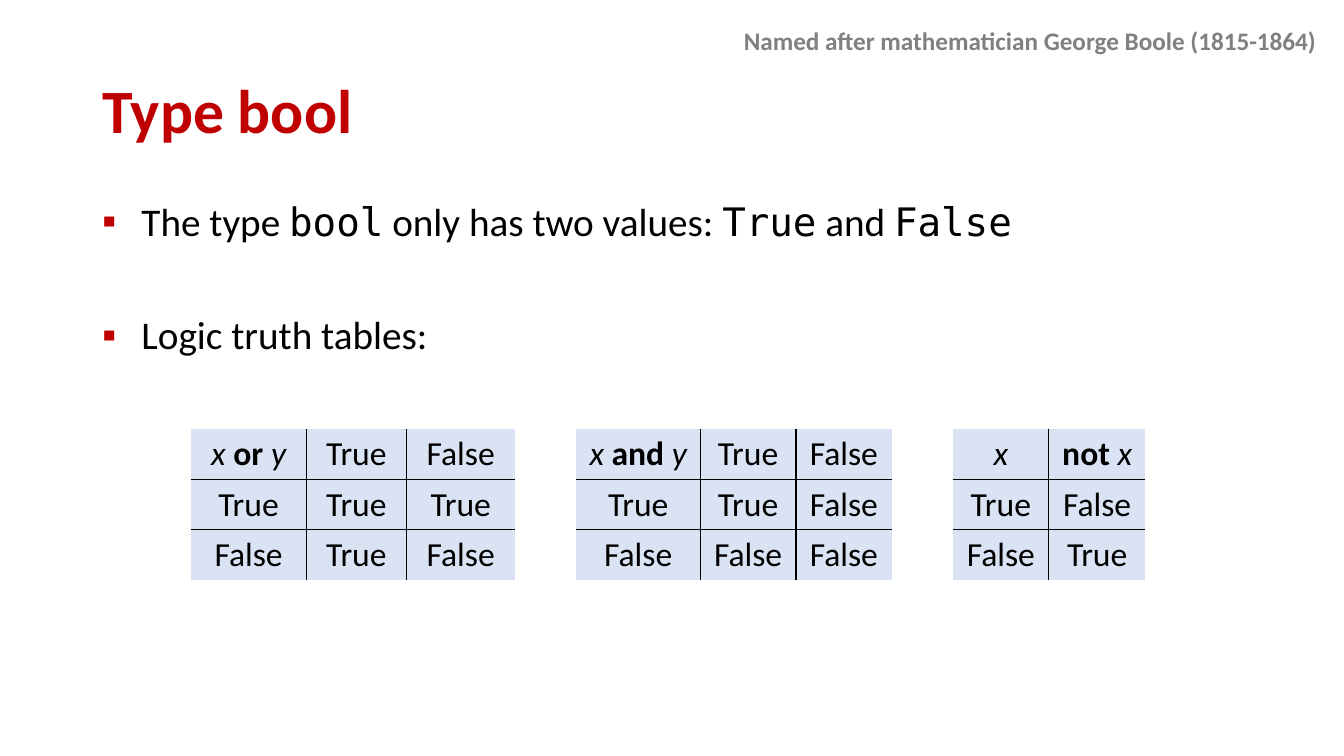
from lxml.etree import SubElement as Sub
from pptx import Presentation
from pptx.dml.color import RGBColor as Rgb
from pptx.enum.text import MSO_ANCHOR as Anchor, PP_ALIGN as Align
from pptx.oxml import parse_xml as to_xml
from pptx.oxml.ns import nsdecls, qn
from pptx.util import Pt

HUES = {"red": "C00000", "black": "000000", "gray": "808080", "cell": "DAE3F3"}
FACE, MONO = "Calibri", "DejaVu Sans Mono"
GAP, ROW = 43.6, 36

# Run formats
CODE = {"name": MONO}
BOLD = {"bold": True}
VAR = {"italic": True}


def add_runs(para, runs, size, hue="black"):
    for text, style in runs:
        run = para.add_run()
        run.text = text
        form = {"name": FACE, "size": Pt(size), **style}
        for key, value in form.items():
            setattr(run.font, key, value)
        run.font.color.rgb = Rgb.from_string(HUES[hue])


def add_box(slide, box, **form):
    frame = slide.shapes.add_textbox(*map(Pt, box)).text_frame
    for key, value in {"word_wrap": True, **form}.items():
        setattr(frame, key, value)
    return frame


def add_title(slide, box):
    frame = add_box(slide, box, vertical_anchor=Anchor.MIDDLE)
    para = frame.paragraphs[0]
    para.line_spacing = 0.9
    add_runs(para, [("Type bool", BOLD)], 44, "red")


def add_note(slide, box):
    frame = add_box(slide, box, word_wrap=False)
    text = "Named after mathematician George Boole (1815-1864)"
    add_runs(frame.paragraphs[0], [(text, BOLD)], 18, "gray")


def set_bullet(para):
    props = para._p.get_or_add_pPr()
    props.set("marL", str(Pt(28)))
    props.set("indent", str(-Pt(28)))
    hue = Sub(props, qn("a:buClr"))
    Sub(hue, qn("a:srgbClr"), val=HUES["red"])
    Sub(props, qn("a:buFont"), typeface=FACE)
    Sub(props, qn("a:buChar"), char="▪")


def add_points(slide, box):
    frame = add_box(slide, box)
    points = [
        (10, [("The type ", {}), ("bool", CODE), (" only has two values: ", {}),
              ("True", CODE), (" and ", {}), ("False", CODE)]),
        (50.8, [("Logic truth tables:", {})]),
    ]
    for i, (space, runs) in enumerate(points):
        para = frame.add_paragraph() if i else frame.paragraphs[0]
        para.line_spacing = 0.9
        para.space_before = Pt(space)
        set_bullet(para)
        add_runs(para, runs, 28)


def set_edges(cell, inner):
    """Rule the sides that face another cell and clear the rest."""
    props = cell._tc.get_or_add_tcPr()
    for i, (side, ruled) in enumerate(inner.items()):
        paint = (f'<a:solidFill><a:srgbClr val="{HUES["black"]}"/></a:solidFill>'
                 if ruled else "<a:noFill/>")
        line = f'<a:ln{side} {nsdecls("a")} w="{Pt(1)}">{paint}</a:ln{side}>'
        props.insert(i, to_xml(line))


def add_truth(slide, left, top, cols, rows):
    """Draw one truth table and return its right edge."""
    count, wide = len(rows), sum(cols)
    grid = slide.shapes.add_table(
        count, len(cols), *map(Pt, (left, top, wide, count * ROW))).table
    for key in ("first_row", "horz_banding"):
        setattr(grid, key, False)
    for col, width in zip(grid.columns, cols):
        col.width = Pt(width)
    for r, row in enumerate(rows):
        grid.rows[r].height = Pt(ROW)
        for c, text in enumerate(row):
            cell = grid.cell(r, c)
            cell.fill.solid()
            cell.fill.fore_color.rgb = Rgb.from_string(HUES["cell"])
            set_edges(cell, {"L": c > 0, "R": c < len(cols) - 1,
                             "T": r > 0, "B": r < count - 1})
            para = cell.text_frame.paragraphs[0]
            para.alignment = Align.CENTER
            runs = [(text, {})] if isinstance(text, str) else text
            add_runs(para, runs, 24)
    return left + wide


def add_tables(slide, left, top):
    yes, no = "True", "False"
    x, y = ("x", VAR), ("y", VAR)
    tables = [
        ((82.8, 71.2, 77.8), [
            [[("x ", VAR), ("or ", BOLD), y], yes, no],
            [yes, yes, yes],
            [no, yes, no]]),
        ((88.6, 68.4, 68.4), [
            [[("x ", VAR), ("and ", BOLD), y], yes, no],
            [yes, yes, no],
            [no, no, no]]),
        ((68.6, 69), [
            [[x], [("not ", BOLD), x]],
            [yes, no],
            [no, yes]]),
    ]
    for cols, rows in tables:
        left = add_truth(slide, left, top, cols, rows) + GAP


def main():
    deck = Presentation()
    deck.slide_width, deck.slide_height = Pt(960), Pt(540)
    slide = deck.slides.add_slide(deck.slide_layouts[6])
    add_title(slide, (66, 28.8, 325.4, 104.4))
    add_points(slide, (66, 141, 828, 137))
    add_tables(slide, 136.2, 306.2)
    add_note(slide, (524.2, 14.4, 427.7, 29))
    deck.save("out.pptx")


if __name__ == "__main__":
    main()
